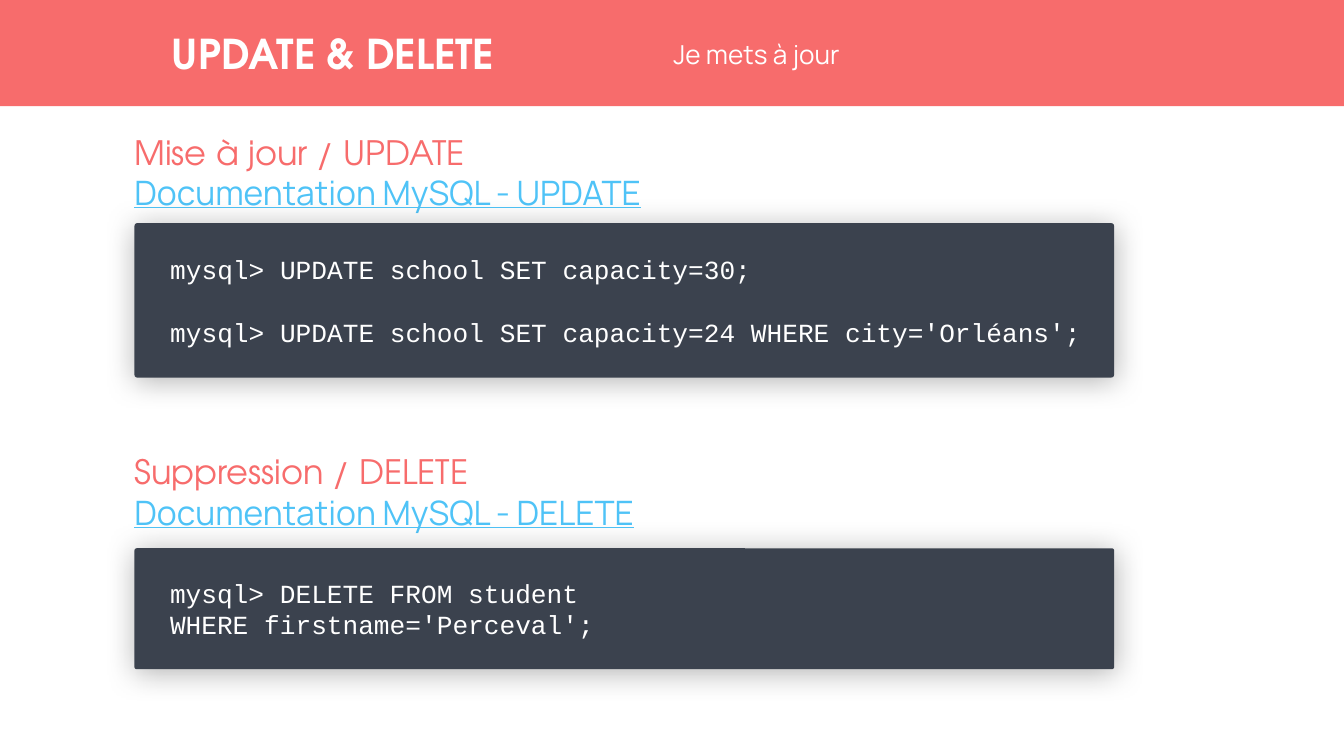
"""Builds the UPDATE and DELETE slide of an SQL course."""
import dataclasses

import lxml.etree
import pptx
import pptx.dml.color
import pptx.enum.shapes
import pptx.enum.text
import pptx.oxml.ns
import pptx.util
from pptx.util import Inches


@dataclasses.dataclass(frozen=True)
class Theme:
    coral: str = "F76C6C"
    sky: str = "4FC3F7"
    slate: str = "3B424E"
    white: str = "FFFFFF"
    black: str = "000000"
    display_font: str = "TeX Gyre Adventor"
    body_font: str = "Manrope"
    code_font: str = "Courier New"
    title_size: float = 22
    heading_size: float = 18
    small_size: float = 14
    code_line: float = 16.8
    section_gap: float = 128


def rgb(value):
    return pptx.dml.color.RGBColor.from_string(value)


def write(para, text, *, font, size, color, bold=False, underline=False):
    span = para.add_run()
    span.text = text
    span.font.name = font
    span.font.size = pptx.util.Pt(size)
    span.font.color.rgb = rgb(color)
    span.font.bold = bold
    span.font.underline = underline


class SlideBuilder:
    def __init__(self, slide, theme):
        self.slide = slide
        self.theme = theme

    def panel(self, kind, left, top, width, height, color):
        shape = self.slide.shapes.add_shape(
            kind, Inches(left), Inches(top), Inches(width), Inches(height))
        shape.shadow.inherit = False
        shape.fill.solid()
        shape.fill.fore_color.rgb = rgb(color)
        shape.line.fill.background()
        return shape

    def frame(self, left, top, width, height, centred=False):
        box = self.slide.shapes.add_textbox(
            Inches(left), Inches(top), Inches(width), Inches(height))
        frame = box.text_frame
        frame.word_wrap = True
        frame.margin_left = frame.margin_right = 0
        frame.margin_top = frame.margin_bottom = 0
        anchors = pptx.enum.text.MSO_ANCHOR
        frame.vertical_anchor = anchors.MIDDLE if centred else anchors.TOP
        return frame

    def header(self, title, subtitle):
        theme = self.theme
        self.panel(pptx.enum.shapes.MSO_SHAPE.RECTANGLE,
                   -0.02, 0, 10.04, 0.79, theme.coral)
        write(self.frame(1.28, 0, 4.43, 0.79, centred=True).paragraphs[0], title,
              font=theme.display_font, size=theme.title_size,
              color=theme.white, bold=True)
        write(self.frame(5.01, 0.21, 3.04, 0.39, centred=True).paragraphs[0], subtitle,
              font=theme.body_font, size=theme.small_size, color=theme.white)

    def headings(self, sections):
        theme = self.theme
        frame = self.frame(1, 0.98, 7.43, 3.07)
        for index, (title, reference) in enumerate(sections):
            para = frame.add_paragraph() if index else frame.paragraphs[0]
            if index:
                para.space_before = pptx.util.Pt(theme.section_gap)
            write(para, title, font=theme.display_font,
                  size=theme.heading_size, color=theme.coral)
            write(frame.add_paragraph(), reference, font=theme.body_font,
                  size=theme.heading_size, color=theme.sky, underline=True)

    def soft_shadow(self, shape):
        qn = pptx.oxml.ns.qn
        effects = shape._element.spPr.find(qn("a:effectLst"))
        shadow = lxml.etree.SubElement(
            effects, qn("a:outerShdw"), blurRad=str(pptx.util.Pt(15.8)),
            dist=str(pptx.util.Pt(1.5)), dir="5400000", algn="bl", rotWithShape="0")
        color = lxml.etree.SubElement(shadow, qn("a:srgbClr"), val=self.theme.black)
        lxml.etree.SubElement(color, qn("a:alpha"), val="30000")

    def code(self, top, height, lines, gap=0):
        theme = self.theme
        shape = self.panel(pptx.enum.shapes.MSO_SHAPE.ROUNDED_RECTANGLE,
                           1, top, 7.29, height, theme.slate)
        shape.adjustments[0] = 0.02
        self.soft_shadow(shape)
        frame = shape.text_frame
        frame.word_wrap = True
        frame.margin_left = Inches(0.26)
        frame.margin_right = frame.margin_top = frame.margin_bottom = Inches(0.1)
        frame.vertical_anchor = pptx.enum.text.MSO_ANCHOR.MIDDLE
        for index, line in enumerate(lines):
            para = frame.add_paragraph() if index else frame.paragraphs[0]
            para.alignment = pptx.enum.text.PP_ALIGN.LEFT
            para.line_spacing = pptx.util.Pt(theme.code_line)
            if index:
                para.space_before = pptx.util.Pt(gap)
            write(para, line, font=theme.code_font, size=theme.small_size,
                  color=theme.white)


def main():
    deck = pptx.Presentation()
    deck.slide_width = Inches(10)
    deck.slide_height = Inches(10 * 9 / 16)
    page = deck.slides.add_slide(deck.slide_layouts[6])
    theme = Theme()
    builder = SlideBuilder(page, theme)
    builder.header("UPDATE & DELETE", "Je mets à jour")
    builder.headings([
        ("Mise à jour / UPDATE", "Documentation MySQL - UPDATE"),
        ("Suppression / DELETE", "Documentation MySQL - DELETE"),
    ])
    builder.code(1.66, 1.15, [
        "mysql> UPDATE school SET capacity=30;",
        "mysql> UPDATE school SET capacity=24 WHERE city='Orléans';",
    ], gap=theme.code_line)
    builder.code(4.08, 0.9, [
        "mysql> DELETE FROM student",
        "WHERE firstname='Perceval';",
    ])
    deck.save("out.pptx")


if __name__ == "__main__":
    main()
